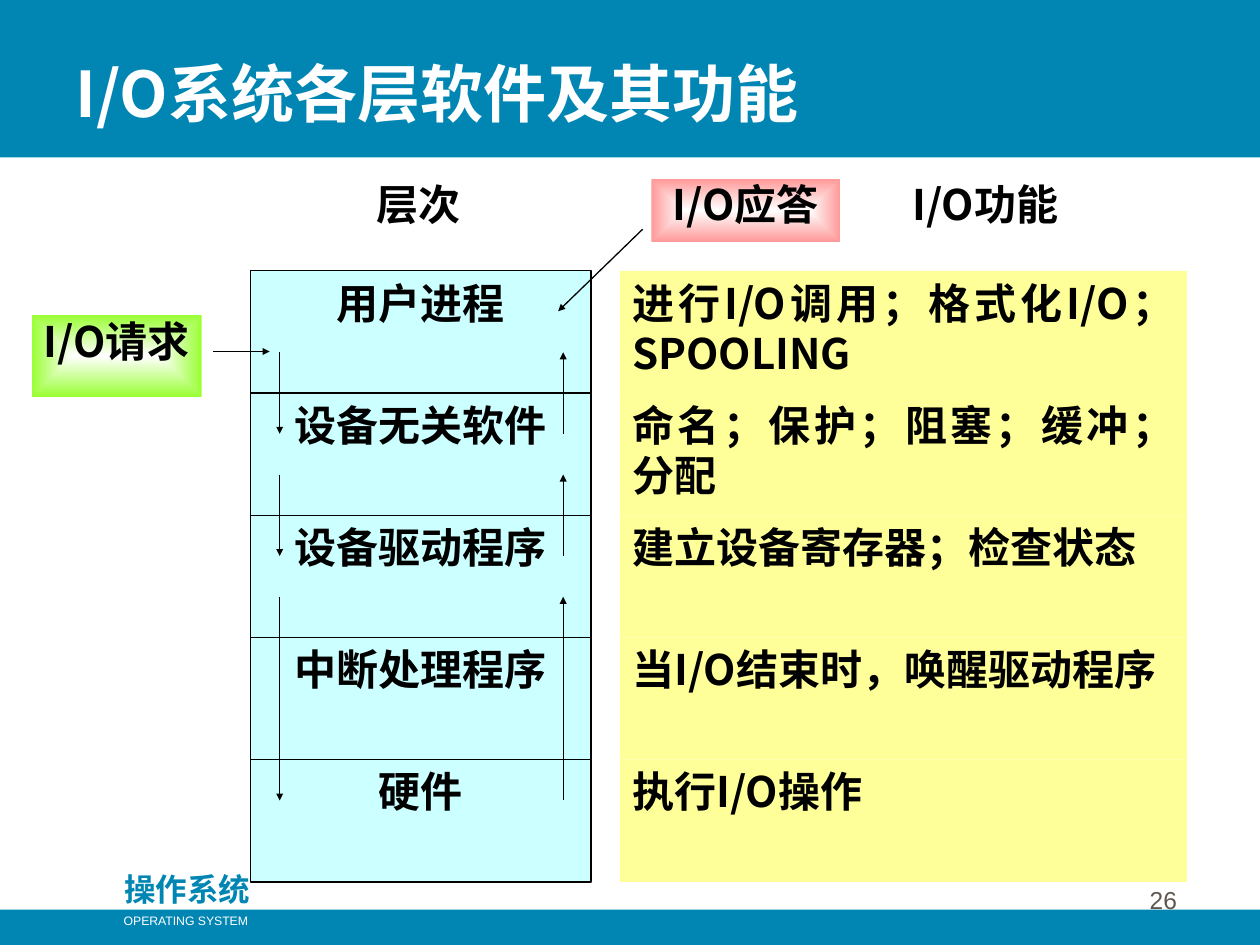
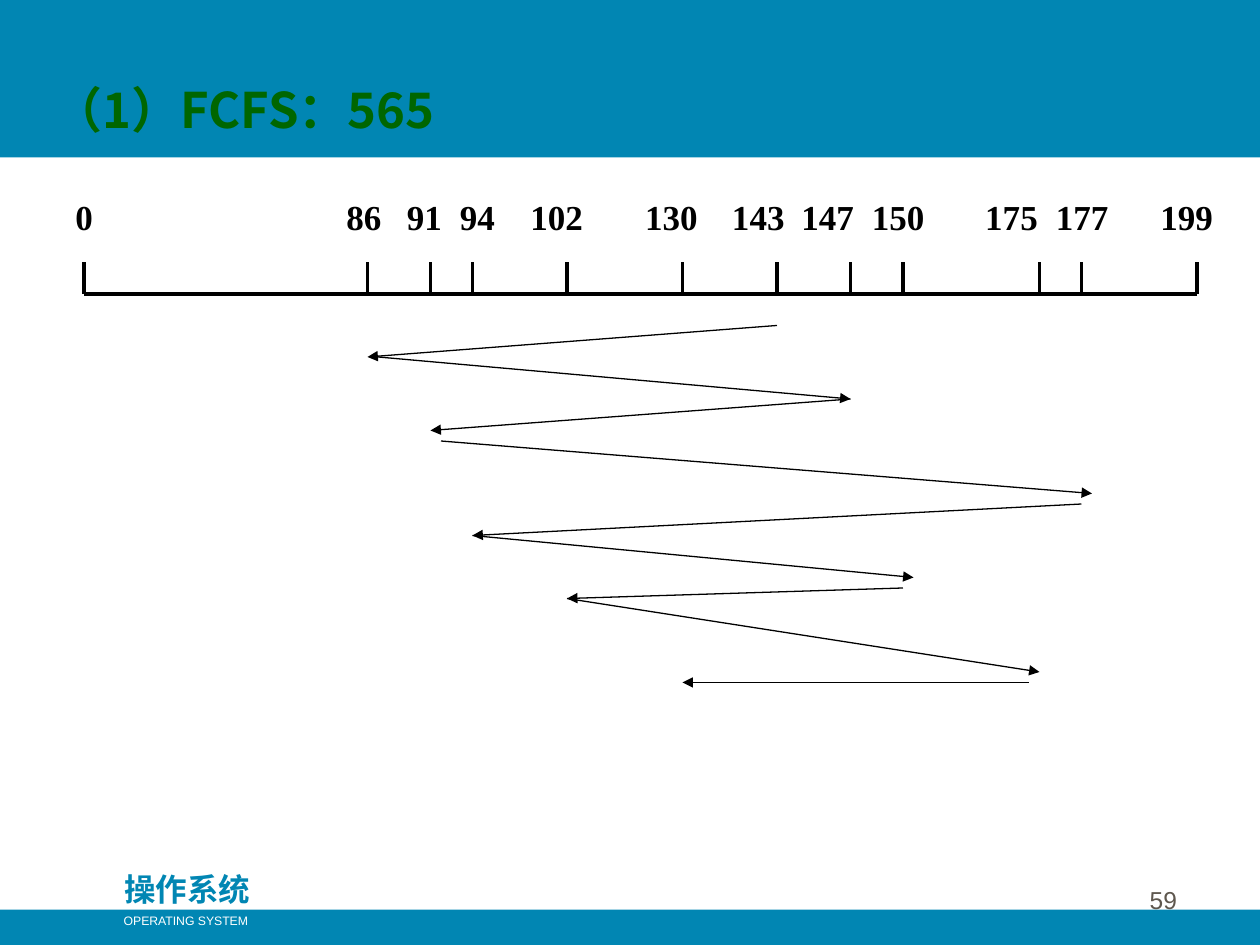
import pptx
import pptx.util
import pptx.dml.color
import pptx.oxml.ns
import pptx.enum.shapes
import pptx.enum.text
from lxml import etree

BLUE, GREEN, GREY = "0186B3", "006600", "5E574E"
BLACK, WHITE = "000000", "FFFFFF"
CYAN, YELLOW, PINK, LIME = "CCFFFF", "FFFF99", "FF9999", "99FF33"
HAN, SANS, SERIF = "Noto Sans CJK SC", "Arial", "Times New Roman"
WIDTH, HEIGHT = 10, 7.5

# Slide 1: software layers, top to bottom, with their functions
LAYERS_TITLE = "I/O系统各层软件及其功能"
LAYERS = [
    ("用户进程", "进行I/O调用；格式化I/O；SPOOLING"),
    ("设备无关软件", "命名；保护；阻塞；缓冲；分配"),
    ("设备驱动程序", "建立设备寄存器；检查状态"),
    ("中断处理程序", "当I/O结束时，唤醒驱动程序"),
    ("硬件", "执行I/O操作"),
]
LAYER_HOPS = [(0, 1), (1, 2), (2, 4)]
HEADINGS = [  # text, box, glow colour
    ("层次", (2.42, 1.42, 1.8, 0.5), None),
    ("I/O应答", (5.17, 1.42, 1.5, 0.5), PINK),
    ("I/O功能", (6.92, 1.42, 1.8, 0.65), None),
    ("I/O请求", (0.25, 2.5, 1.35, 0.65), LIME),
]
LAYER_TOP, LAYER_H = 2.15, 0.97
LAYER_X, LAYER_W = 1.99, 2.7
FUNCTION_X, FUNCTION_W = 4.92, 4.5
REQUEST_X, REPLY_X = 2.22, 4.47

# Slide 2: disk tracks and head moves on a grid of 12 cells to the inch
FCFS_TITLE = "（1）FCFS：565"
CELL = 1 / 12
TRACKS = {  # track: (tick column, label centre in inches)
    0: (8, 0.67), 86: (35, 2.89), 91: (41, 3.37), 94: (45, 3.79),
    102: (54, 4.42), 130: (65, 5.33), 143: (74, 6.02), 147: (81, 6.57),
    150: (86, 7.13), 175: (99, 8.03), 177: (103, 8.59), 199: (114, 9.42),
}
TICK_ROW, AXIS_ROW = 25, 28
MOVES = [  # (track, column nudge, row) at the start and at the end
    ((143, 0, 31), (86, 0, 34)),
    ((86, 1, 34), (147, 0, 38)),
    ((147, 0, 38), (91, 0, 41)),
    ((91, 1, 42), (177, 1, 47)),
    ((177, 0, 48), (94, 0, 51)),
    ((94, 0, 51), (150, 1, 55)),
    ((150, 0, 56), (102, 0, 57)),
    ((102, 0, 57), (175, 0, 64)),
    ((175, -1, 65), (130, 0, 65)),
]

ALIGN = pptx.enum.text.PP_ALIGN
ANCHOR = pptx.enum.text.MSO_ANCHOR
inch = pptx.util.Inches


def rgb(color):
    return pptx.dml.color.RGBColor.from_string(color)


def child(parent, tag, **attributes):
    return etree.SubElement(parent, pptx.oxml.ns.qn(tag), attributes)


def write(sp, text, size, color=BLACK, font=HAN, bold=True, align=ALIGN.LEFT,
          anchor=ANCHOR.TOP, inset=(0.1, 0.05), wrap=True):
    tf = sp.text_frame
    tf.word_wrap = wrap
    tf.vertical_anchor = anchor
    tf.margin_left = tf.margin_right = inch(inset[0])
    tf.margin_top = tf.margin_bottom = inch(inset[1])
    p = tf.paragraphs[0]
    p.alignment = align
    r = p.add_run()
    r.text = text
    r.font.size = pptx.util.Pt(size)
    r.font.bold = bold
    r.font.name = font
    r.font.color.rgb = rgb(color)
    child(r.font._element, "a:ea", typeface=font)
    return p


def text_box(s, box, text, size, grow=False, **style):
    sp = s.shapes.add_textbox(*map(inch, box))
    p = write(sp, text, size, **style)
    if grow:
        sp.text_frame.auto_size = pptx.enum.text.MSO_AUTO_SIZE.SHAPE_TO_FIT_TEXT
    return p


def rect(s, box, color, outline=None):
    sp = s.shapes.add_shape(pptx.enum.shapes.MSO_SHAPE.RECTANGLE, *map(inch, box))
    sp.shadow.inherit = False
    sp.fill.solid()
    sp.fill.fore_color.rgb = rgb(color)
    if outline:
        sp.line.color.rgb = rgb(outline)
        sp.line.width = pptx.util.Pt(0.75)
    else:
        sp.line.fill.background()
    return sp


def glow(sp, color):
    """Fill from a white centre out to the given colour at the edges."""
    sp.fill.gradient()
    for stop, shade in zip(sp.fill.gradient_stops, (WHITE, color)):
        stop.color.rgb = rgb(shade)
    grad = sp._element.spPr.find(pptx.oxml.ns.qn("a:gradFill"))
    grad.remove(grad.find(pptx.oxml.ns.qn("a:lin")))
    centre = child(grad, "a:path", path="rect")
    child(centre, "a:fillToRect", l="50000", t="50000", r="50000", b="50000")


def line(s, start, end, width=0.75, head=None):
    """Draw a line; head is the arrowhead size, sm or med."""
    cn = s.shapes.add_connector(pptx.enum.shapes.MSO_CONNECTOR.STRAIGHT,
                                *map(inch, (*start, *end)))
    cn.line.color.rgb = rgb(BLACK)
    cn.line.width = pptx.util.Pt(width)
    if head:
        child(cn.line._get_or_add_ln(), "a:tailEnd", type="triangle", w=head, len=head)
    child(cn._element.spPr, "a:effectLst")


def base_slide(prs, number):
    """Add a blank slide with the bands, the course name and the page number."""
    s = prs.slides.add_slide(prs.slide_layouts[6])
    rect(s, (0, 0, WIDTH, 1.25), BLUE)
    rect(s, (0, 7.22, WIDTH, 0.28), BLUE)
    text_box(s, (0.83, 6.86, 1.31, 0.4), "操作系统", 18, grow=True,
             color=BLUE, align=ALIGN.CENTER)
    text_box(s, (0.88, 7.2, 1.19, 0.22), "OPERATING SYSTEM", 7, grow=True, color=WHITE,
             font=SANS, bold=False, align=ALIGN.CENTER, wrap=False)
    text_box(s, (7.36, 6.81, 2.08, 0.5), str(number), 14, color=GREY, font=SANS,
             bold=False, align=ALIGN.RIGHT, anchor=ANCHOR.BOTTOM)
    return s


def layers_slide(prs):
    s = base_slide(prs, 26)
    text_box(s, (0.5, 0.25, 8.5, 0.83), LAYERS_TITLE, 36, color=WHITE,
             anchor=ANCHOR.BOTTOM)

    for i, (layer, function) in enumerate(LAYERS):
        y = LAYER_TOP + i * LAYER_H
        write(rect(s, (LAYER_X, y, LAYER_W, LAYER_H), CYAN, BLACK), layer, 24,
              align=ALIGN.CENTER)
        write(rect(s, (FUNCTION_X, y, FUNCTION_W, LAYER_H), YELLOW), function, 24,
              align=ALIGN.JUSTIFY)

    for upper, lower in LAYER_HOPS:
        y1 = LAYER_TOP + (upper + 2 / 3) * LAYER_H
        y2 = LAYER_TOP + (lower + 1 / 3) * LAYER_H
        line(s, (REQUEST_X, y1), (REQUEST_X, y2), head="sm")
        line(s, (REPLY_X, y2), (REPLY_X, y1), head="sm")
    line(s, (1.69, 2.79), (2.14, 2.79), head="sm")
    line(s, (5.1, 1.82), (4.43, 2.47), head="sm")

    for text, box, color in HEADINGS:
        style = dict(align=ALIGN.CENTER, inset=(0, 0))
        if color:
            sp = rect(s, box, color)
            glow(sp, color)
            write(sp, text, 24, **style)
        else:
            text_box(s, box, text, 24, **style)


def fcfs_slide(prs):
    s = base_slide(prs, 59)
    text_box(s, (0.33, 0.58, 5.18, 0.57), FCFS_TITLE, 28, grow=True, color=GREEN)

    columns = [column for column, _ in TRACKS.values()]
    axis_y, tick_y = AXIS_ROW * CELL, TICK_ROW * CELL
    line(s, (columns[0] * CELL, axis_y), (columns[-1] * CELL, axis_y), 2.25)
    for column in columns:
        line(s, (column * CELL, tick_y), (column * CELL, axis_y), 2.25)

    left, inset = 0.5, 0.1
    p = text_box(s, (left, 1.5, 9.33, 0.44), "\t".join(map(str, TRACKS)), 20,
                 grow=True, font=SERIF)
    tabs = child(p._p.get_or_add_pPr(), "a:tabLst")
    for _, centre in list(TRACKS.values())[1:]:
        child(tabs, "a:tab", pos=str(inch(centre - left - inset)), algn="ctr")

    for move in MOVES:
        start, end = [((TRACKS[track][0] + nudge) * CELL, row * CELL)
                      for track, nudge, row in move]
        line(s, start, end, head="med")


def main():
    prs = pptx.Presentation()
    prs.slide_width, prs.slide_height = inch(WIDTH), inch(HEIGHT)
    layers_slide(prs)
    fcfs_slide(prs)
    prs.save("out.pptx")


if __name__ == "__main__":
    main()
